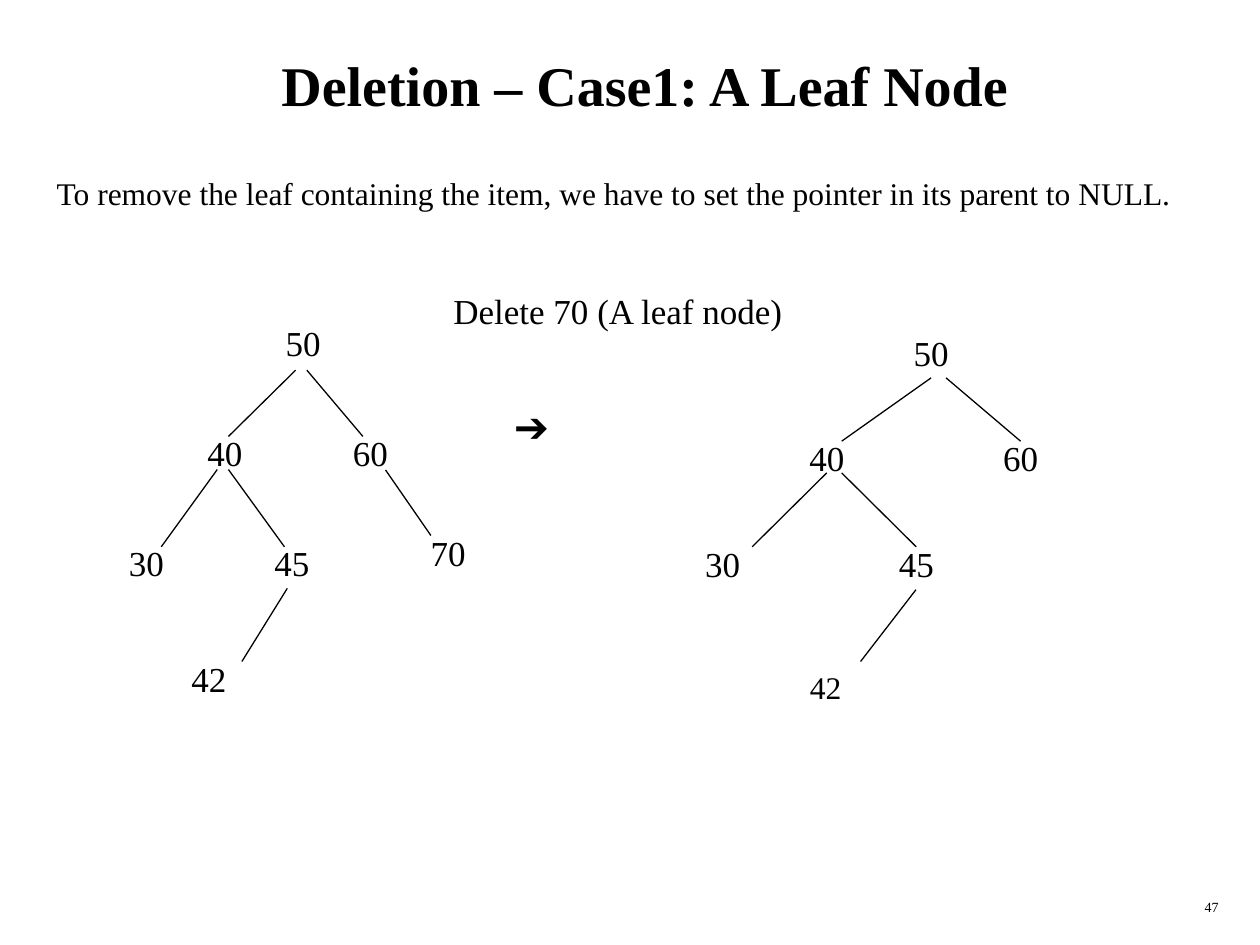
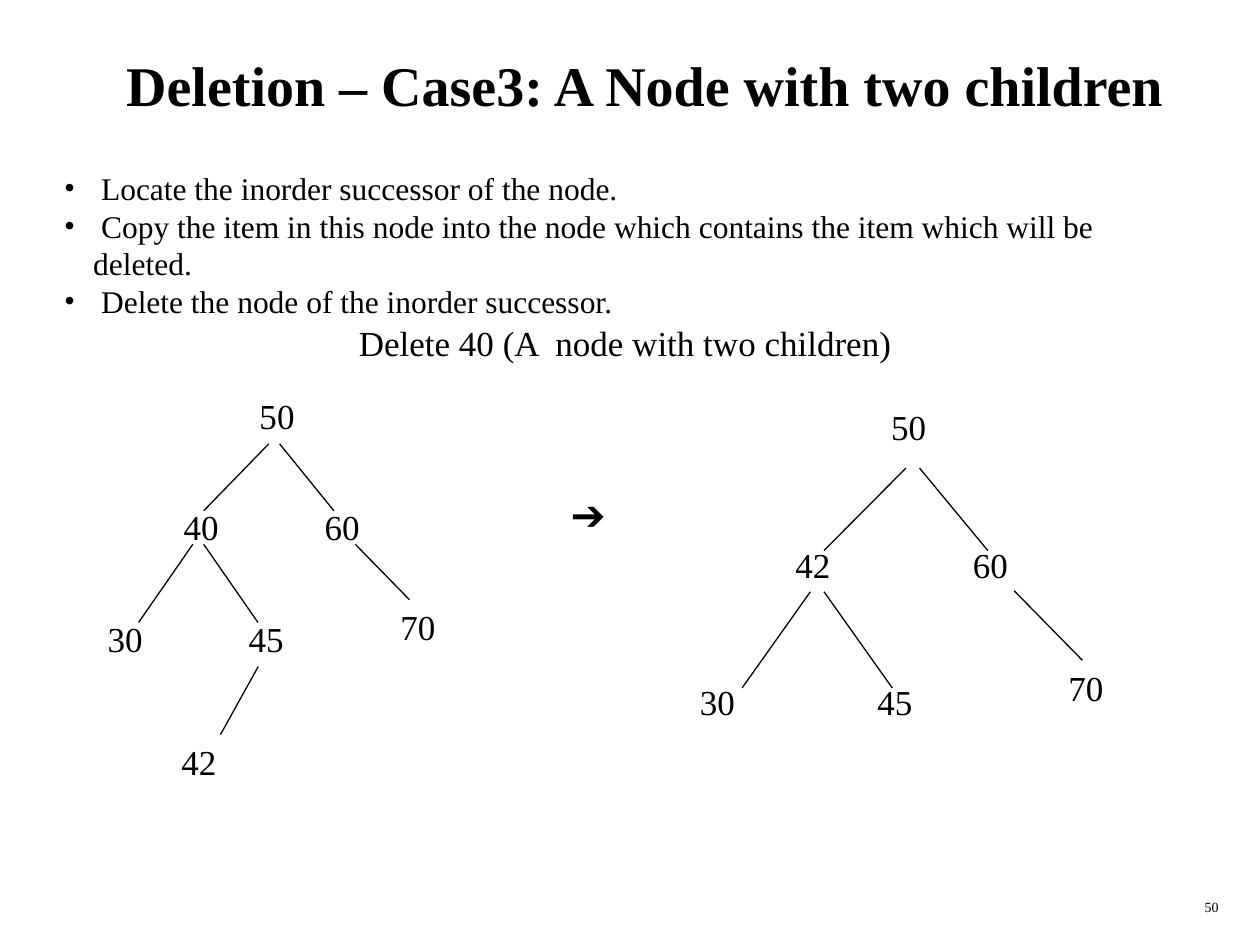
from lxml.etree import SubElement
from pptx import Presentation
from pptx.dml.color import RGBColor
from pptx.enum.shapes import MSO_CONNECTOR
from pptx.enum.text import MSO_ANCHOR, MSO_AUTO_SIZE, PP_ALIGN
from pptx.oxml.ns import qn
from pptx.util import Inches, Pt

BLACK = "000000"
SERIF, SANS = "Times New Roman", "Arial"
COLS, ROWS = 18, 21
NODE_W, NODE_H = 0.48, 0.44
HANG = 0.23

NODES = {"50": (10, 0), "40": (3, 10), "60": (16, 10), "30": (-4, 20), "45": (9, 20)}
EDGES = [
    ((12, 5), (6, 11)),
    ((13, 5), (18, 11)),
    ((6, 14), (11, 21)),
    ((5, 14), (0, 21)),
]
NODE_70 = ("70", 3.08, 4.76, 20)

SLIDES = [
    {
        "title": "Deletion – Case1: A Leaf Node",
        "number": "47",
        "body": ["To remove the leaf containing the item, we have to set the pointer in its parent to NULL."],
        "body_box": (0.35, 1.33, 9.06, 0.4),
        "bullets": False,
        "task": ("Delete 70 (A leaf node)", 3.5, 2.25, 2.83),
        "arrow": (3.98, 3.13),
        "trees": [
            {
                "box": (1.28, 2.5, 1.6, 1.84),
                "leaves": [("70", 3.32, 4.17, 20), ("42", 1.42, 5.17, 20)],
                "branches": [(3.06, 3.73, 3.42, 4.25), (2.28, 4.67, 1.92, 5.25)],
            },
            {
                "box": (5.97, 2.58, 2.13, 1.76),
                "leaves": [("42", 6.33, 5.25, 18)],
                "branches": [(7.27, 4.68, 6.83, 5.25)],
            },
        ],
    },
    {
        "title": "Deletion – Case3: A Node with two children",
        "number": "50",
        "body": [
            " Locate the inorder successor of the node.",
            " Copy the item in this node into the node which contains the item which will be deleted.",
            " Delete the node of the inorder successor.",
        ],
        "body_box": (0.41, 1.29, 9.07, 1.3),
        "bullets": True,
        "task": ("Delete 40 (A  node with two children)", 2.75, 2.5, 4.44),
        "arrow": (4.43, 3.83),
        "trees": [
            {
                "box": (1.1, 3.08, 1.55, 1.86),
                "leaves": [NODE_70, ("42", 1.34, 5.83, 20)],
                "branches": [(2.82, 4.32, 3.25, 4.76), (2.05, 5.29, 1.75, 5.83)],
            },
            {
                "box": (5.89, 3.17, 1.95, 2.29),
                "renamed": {"40": "42"},
                "leaves": [("70", 8.38, 5.24, 20)],
                "branches": [(8.05, 4.69, 8.59, 5.24)],
            },
        ],
    },
]


def rgb(value):
    return RGBColor.from_string(value)


def add_run(p, text, size, font=SERIF, bold=False):
    r = p.add_run()
    r.text = text
    r.font.size, r.font.name, r.font.bold = Pt(size), font, bold
    r.font.color.rgb = rgb(BLACK)


def place(sp, box):
    sp.left, sp.top, sp.width, sp.height = map(Inches, box)


def add_label(shapes, text, box, size, font=SERIF, align=PP_ALIGN.LEFT):
    tf = shapes.add_textbox(*map(Inches, box)).text_frame
    tf.word_wrap = align == PP_ALIGN.RIGHT
    p = tf.paragraphs[0]
    p.alignment = align
    add_run(p, text, size, font)


def add_branch(shapes, x1, y1, x2, y2):
    line = shapes.add_connector(MSO_CONNECTOR.STRAIGHT, *map(Inches, (x1, y1, x2, y2)))
    line.line.color.rgb = rgb(BLACK)
    line.line.width = Pt(0.75)
    SubElement(line._element.spPr, qn("a:effectLst"))


def add_tree(s, tree):
    shapes = s.shapes.add_group_shape().shapes
    left, top, width, height = tree["box"]
    renamed = tree.get("renamed", {})

    def at(cell):
        return left + cell[0] * width / COLS, top + cell[1] * height / ROWS

    branches = [at(start) + at(end) for start, end in EDGES]
    nodes = [(renamed.get(key, key), *at(cell), 20) for key, cell in NODES.items()]
    for branch in branches + tree["branches"]:
        add_branch(shapes, *branch)
    for text, x, y, size in nodes + tree["leaves"]:
        add_label(shapes, text, (x, y, NODE_W, NODE_H), size)


def add_title(s, text):
    sp = s.shapes.title
    place(sp, (0.39, 0.17, 9.46, 1))
    tf = sp.text_frame
    tf.auto_size, tf.vertical_anchor = MSO_AUTO_SIZE.NONE, MSO_ANCHOR.MIDDLE
    p = tf.paragraphs[0]
    p.alignment = PP_ALIGN.CENTER
    add_run(p, text, 32, bold=True)


def add_body(s, lines, box, bullets):
    sp = s.placeholders[1]
    place(sp, box)
    tf = sp.text_frame
    tf.auto_size, tf.vertical_anchor = MSO_AUTO_SIZE.NONE, MSO_ANCHOR.TOP
    tf.word_wrap = bullets
    for i, text in enumerate(lines):
        p = tf.add_paragraph() if i else tf.paragraphs[0]
        p.alignment = PP_ALIGN.LEFT
        p.line_spacing, p.space_before, p.space_after = 1.0, Pt(0), Pt(0)
        hang = Inches(HANG) if bullets else 0
        pPr = p._p.get_or_add_pPr()
        pPr.set("marL", str(hang))
        pPr.set("indent", str(-hang))
        if bullets:
            SubElement(pPr, qn("a:buFont"), typeface=SERIF)
            SubElement(pPr, qn("a:buChar"), char="•")
        else:
            SubElement(pPr, qn("a:buNone"))
        add_run(p, text, 18)


def main():
    prs = Presentation()
    prs.slide_width, prs.slide_height = Inches(10), Inches(7.5)
    for content in SLIDES:
        s = prs.slides.add_slide(prs.slide_layouts[1])
        add_title(s, content["title"])
        add_body(s, content["body"], content["body_box"], content["bullets"])
        add_label(s.shapes, content["number"], (7.69, 7.08, 2.08, 0.25), 8, align=PP_ALIGN.RIGHT)
        task, x, y, width = content["task"]
        add_label(s.shapes, task, (x, y, width, NODE_H), 20)
        add_label(s.shapes, "➔", (*content["arrow"], 0.53, 0.5), 24, SANS)
        for tree in content["trees"]:
            add_tree(s, tree)
    prs.save("out.pptx")


if __name__ == "__main__":
    main()
